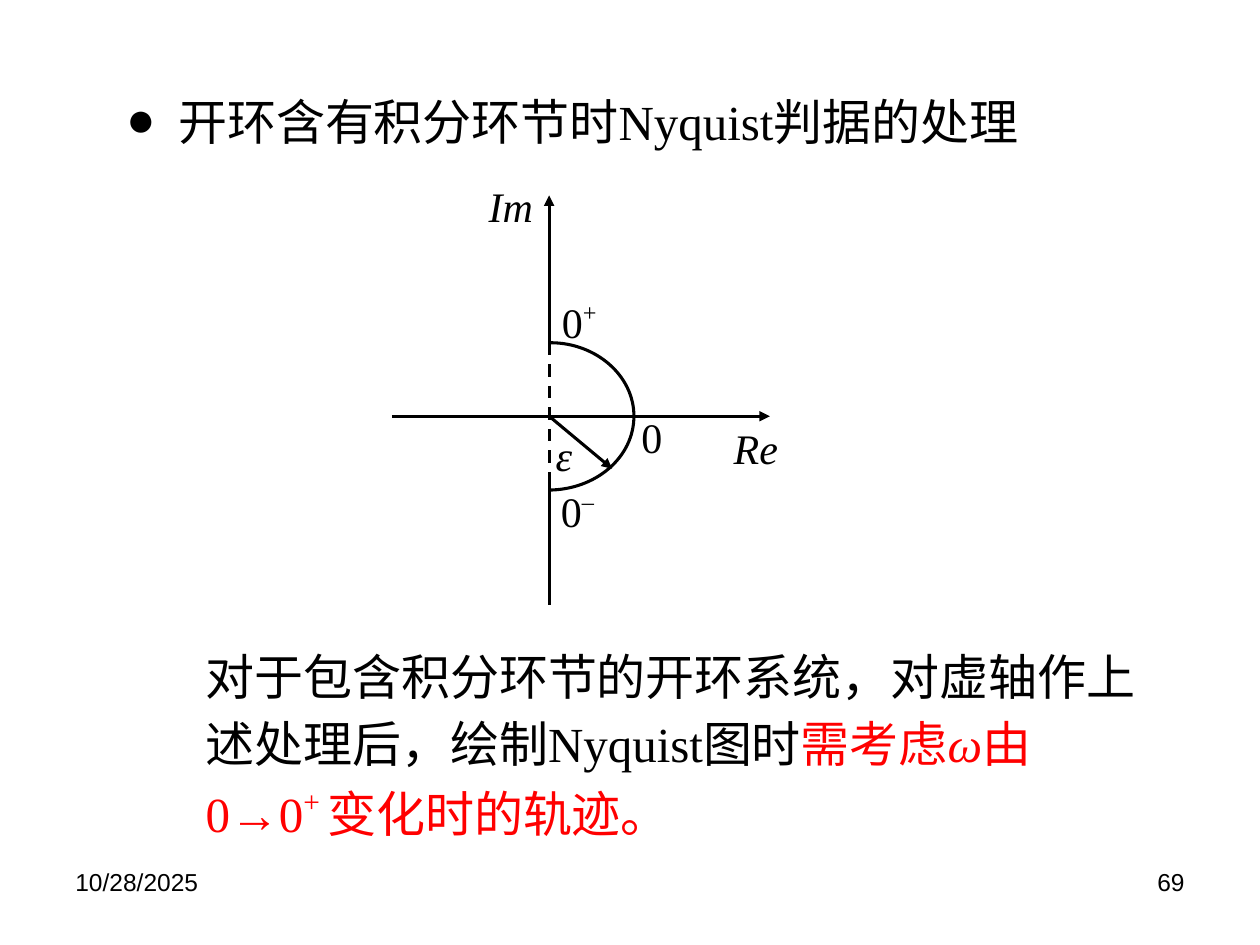
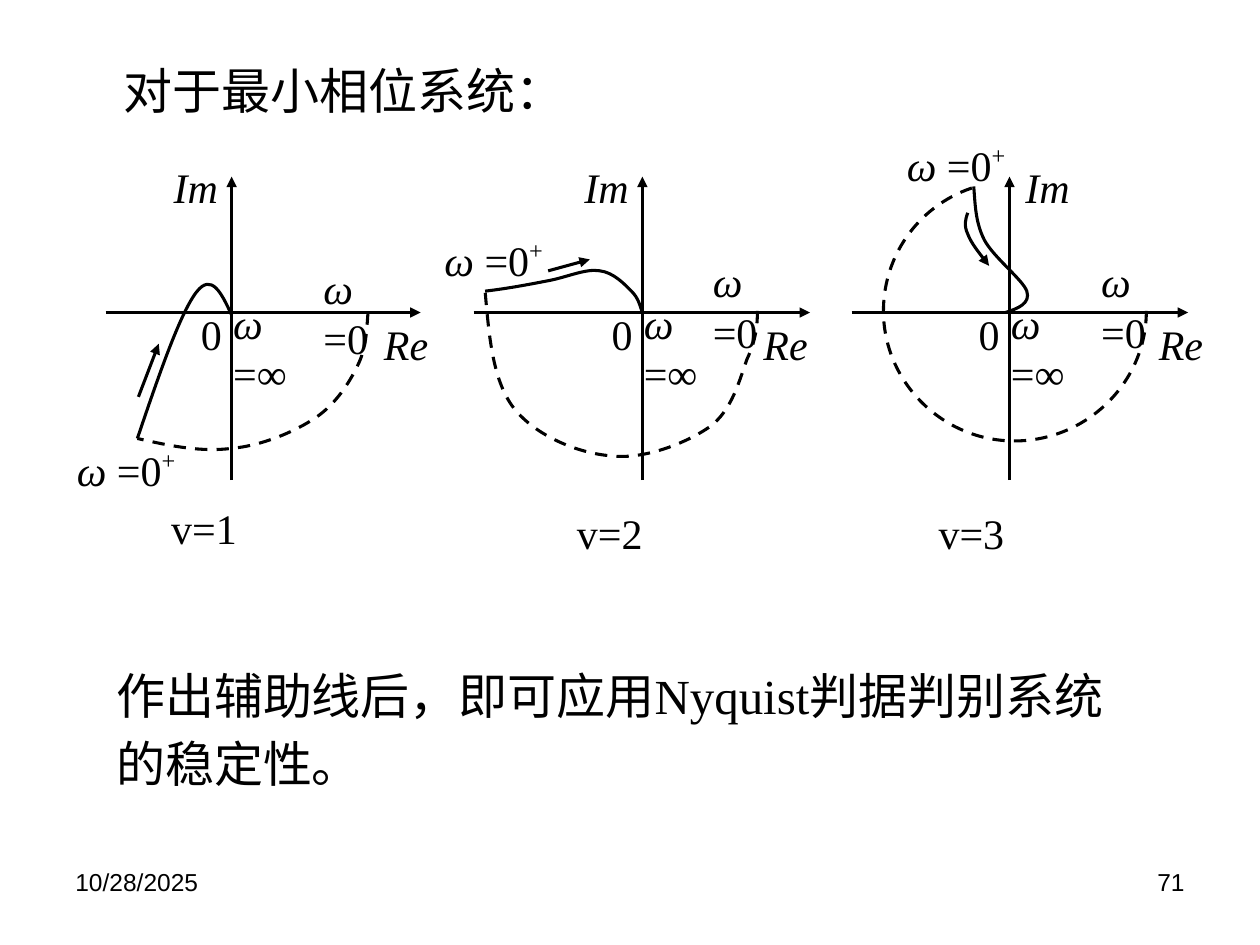
from dataclasses import dataclass

import pptx
import pptx.dml.color
import pptx.enum.dml
import pptx.enum.shapes
import pptx.enum.text
import pptx.oxml.ns
import pptx.util
from lxml import etree

Cm, Pt = pptx.util.Cm, pptx.util.Pt
qn = pptx.oxml.ns.qn
Align = pptx.enum.text.PP_ALIGN


@dataclass(frozen=True)
class Theme:
    ink: str = "000000"
    accent: str = "FF0000"
    font: str = "Times New Roman"
    footer_font: str = "Arial"
    text_size: float = 28
    power_size: float = 29
    label_size: float = 24
    footer_size: float = 14
    line_width: float = 1.75
    line_spacing: float = 1.15


@dataclass(frozen=True)
class Plot:
    """One Nyquist plot; all positions in cm, curves as cubic Bezier chains."""
    name: str
    name_at: tuple
    axis_x: float
    re_span: tuple
    im_x: float
    re_x: float
    zero_at: tuple
    start_at: tuple
    locus: list
    closing: list
    direction: list


# A label is a list of (text, marks): i = italic, ^ = superscript, ! = accent colour.
W_ZERO = [("ω", "i"), (" =0", "")]
W_START = W_ZERO + [("+", "^")]
W_INF = [("ω", "i"), (" =∞", "")]
RE, IM, ZERO = [("Re", "i")], [("Im", "i")], [("0", "")]

RE_AXIS_Y = 6.3
IM_AXIS = (9.68, 3.56)

PLOTS = [
    Plot("v=1", (3.2, 10.01), 4.67, (2.13, 8.48), 3.25, 7.49, (6.27, 5.16), (1.3, 8.84),
         locus=[(2.77, 8.84), (3.2, 7.57), (3.63, 6.32), (3.96, 5.89),
                (4.27, 5.49), (4.47, 5.92), (4.67, 6.35)],
         closing=[(7.42, 6.3), (7.39, 6.65), (7.39, 7.01), (7.21, 7.37),
                  (7.04, 7.72), (6.78, 8.13), (6.38, 8.41),
                  (5.94, 8.71), (5.26, 8.99), (4.67, 9.04),
                  (4.06, 9.12), (3.43, 8.99), (2.77, 8.84)],
         direction=[(2.79, 8), (3.2, 6.93)]),
    Plot("v=2", (11.38, 10.11), 12.95, (9.55, 16.33), 11.53, 15.14, (14.12, 5.03), (8.71, 4.6),
         locus=[(9.78, 5.87), (10.21, 5.82), (10.64, 5.74), (11.05, 5.66),
                (11.43, 5.59), (11.81, 5.41), (12.09, 5.46),
                (12.37, 5.49), (12.6, 5.74), (12.73, 5.87),
                (12.88, 6.02), (12.9, 6.17), (12.95, 6.3)],
         closing=[(15.27, 6.27), (15.27, 6.55), (15.24, 6.86), (15.06, 7.24),
                  (14.91, 7.65), (14.76, 8.28), (14.3, 8.61),
                  (13.82, 8.94), (12.98, 9.27), (12.32, 9.19),
                  (11.66, 9.14), (10.8, 8.79), (10.36, 8.23),
                  (9.93, 7.67), (9.86, 6.78), (9.78, 5.87)],
         direction=[(11.05, 5.46), (11.89, 5.23)]),
    Plot("v=3", (18.67, 10.11), 20.35, (17.17, 23.95), 20.42, 23.11, (21.95, 5.03), (18.03, 2.69),
         locus=[(19.63, 3.76), (19.66, 4.11), (19.66, 4.47), (19.84, 4.83),
                (20.02, 5.18), (20.62, 5.64), (20.7, 5.87),
                (20.78, 6.12), (20.52, 6.22), (20.27, 6.3)],
         closing=[(23.11, 6.27), (23.11, 7.7), (21.92, 8.89), (20.45, 8.89),
                  (19, 8.89), (17.81, 7.7), (17.81, 6.27),
                  (17.81, 5.11), (18.57, 4.09), (19.69, 3.76)],
         direction=[(19.51, 4.29), (19.46, 4.42), (19.43, 4.55), (19.51, 4.72),
                    (19.58, 4.9), (19.86, 5.26), (19.94, 5.36)]),
]


def bend(sp):
    """Turn every three line segments of a freeform into one cubic segment."""
    segments = list(sp._element.iter(qn("a:lnTo")))
    for n in range(0, len(segments), 3):
        cubic = etree.Element(qn("a:cubicBezTo"))
        segments[n].addprevious(cubic)
        for segment in segments[n:n + 3]:
            cubic.append(segment[0])
            segment.getparent().remove(segment)


class Deck:
    def __init__(self, prs, theme):
        self.prs, self.theme, self.slide = prs, theme, None

    def new_slide(self, number):
        self.slide = self.prs.slides.add_slide(self.prs.slide_layouts[1])
        self.footer(1.27, "10/28/2025", Align.LEFT)
        self.footer(18.21, number, Align.RIGHT)

    def style(self, r, size, marks="", font=None):
        f = r.font
        f.name, f.size = font or self.theme.font, Pt(size)
        f.italic = "i" in marks
        color = self.theme.accent if "!" in marks else self.theme.ink
        f.color.rgb = pptx.dml.color.RGBColor.from_string(color)
        if "^" in marks:
            r._r.get_or_add_rPr().set("baseline", "40000")

    def fill_text(self, p, runs, size, power_size=None):
        for text, marks in runs:
            r = p.add_run()
            r.text = text
            self.style(r, power_size if power_size and "^" in marks else size, marks)

    def footer(self, x, text, align):
        sp = self.slide.shapes.add_textbox(Cm(x), Cm(17.35), Cm(5.92), Cm(1.32))
        sp.text_frame.word_wrap = True
        p = sp.text_frame.paragraphs[0]
        p.text, p.alignment = text, align
        self.style(p.runs[0], self.theme.footer_size, font=self.theme.footer_font)

    def placeholder(self, sp, box, runs, bullet=None, spacing=1.0):
        sp.left, sp.top, sp.width, sp.height = map(Cm, box)
        tf = sp.text_frame
        tf.word_wrap = True
        tf.auto_size = pptx.enum.text.MSO_AUTO_SIZE.NONE
        tf.vertical_anchor = pptx.enum.text.MSO_ANCHOR.TOP
        p = tf.paragraphs[0]
        p.alignment, p.line_spacing, p.space_before = Align.LEFT, spacing, Pt(0)
        indent = Cm(1.05) if bullet else 0
        pPr = p._p.get_or_add_pPr()
        pPr.set("marL", str(indent))
        pPr.set("indent", str(-indent))
        if bullet:
            etree.SubElement(pPr, qn("a:buFont")).set("typeface", self.theme.font)
            etree.SubElement(pPr, qn("a:buChar")).set("char", bullet)
        else:
            etree.SubElement(pPr, qn("a:buNone"))
        self.fill_text(p, runs, self.theme.text_size, self.theme.power_size)

    def title(self, box, text, bullet=None):
        self.placeholder(self.slide.shapes.title, box, [(text, "")], bullet)

    def body(self, box, runs):
        self.placeholder(self.slide.placeholders[1], box, runs,
                         spacing=self.theme.line_spacing)

    def label(self, x, y, runs, width, wrap=False):
        sp = self.slide.shapes.add_textbox(Cm(x), Cm(y), Cm(width), Cm(1.27))
        sp.text_frame.word_wrap = wrap
        self.fill_text(sp.text_frame.paragraphs[0], runs, self.theme.label_size)

    def stroke(self, sp, arrow, dash):
        line = sp.line
        line.width = Pt(self.theme.line_width)
        line.color.rgb = pptx.dml.color.RGBColor.from_string(self.theme.ink)
        if dash:
            line.dash_style = pptx.enum.dml.MSO_LINE.DASH
        if arrow:
            etree.SubElement(line._get_or_add_ln(), qn("a:tailEnd")).set("type", "triangle")

    def line(self, start, end, arrow=False, dash=False):
        sp = self.slide.shapes.add_connector(
            pptx.enum.shapes.MSO_CONNECTOR.STRAIGHT, *map(Cm, (*start, *end)))
        self.stroke(sp, arrow, dash)
        etree.SubElement(sp._element.spPr, qn("a:effectLst"))

    def curve(self, pts, arrow=False, dash=False):
        start, *rest = [(Cm(x), Cm(y)) for x, y in pts]
        builder = self.slide.shapes.build_freeform(*start)
        builder.add_line_segments(rest, close=False)
        sp = builder.convert_to_shape()
        bend(sp)
        sp.fill.background()
        self.stroke(sp, arrow, dash)
        sp.shadow.inherit = False

    def plot(self, plot):
        left, right = plot.re_span
        self.line((left, RE_AXIS_Y), (right, RE_AXIS_Y), arrow=True)
        self.line(*[(plot.axis_x, y) for y in IM_AXIS], arrow=True)
        self.curve(plot.locus)
        self.curve(plot.closing, dash=True)
        if len(plot.direction) == 2:
            self.line(*plot.direction, arrow=True)
        else:
            self.curve(plot.direction, arrow=True)
        self.label(*plot.zero_at, W_ZERO, 2.1, wrap=True)
        self.label(plot.axis_x - 0.22, 5.87, W_INF, 2.1, wrap=True)
        self.label(plot.axis_x - 0.87, 6.1, ZERO, 0.94)
        self.label(*plot.start_at, W_START, 2.51)
        self.label(plot.re_x, RE_AXIS_Y, RE, 1.4)
        self.label(plot.im_x, 3.13, IM, 1.4)
        self.label(*plot.name_at, [(plot.name, "")], 1.85)


def integrator_slide(deck):
    deck.new_slide("69")
    deck.title((2.29, 1.71, 19.94, 1.45), "开环含有积分环节时Nyquist判据的处理", bullet="●")
    deck.body((3.89, 12.72, 19.25, 4.34), [
        ("对于包含积分环节的开环系统，对虚轴作上述处理后，绘制Nyquist图时", ""),
        ("需考虑", "!"), ("ω", "!i"), ("由 0→0", "!"), ("+ ", "!^"),
        ("变化时的轨迹。", "!")])
    x, y = 11.07, 8.39
    deck.line((7.9, y), (15.52, y), arrow=True)
    deck.curve([(11.1, 6.91), (12.01, 6.91), (12.78, 7.57), (12.78, y),
                (12.78, 9.22), (12.01, 9.88), (11.05, 9.88)])
    deck.line((x, 9.65), (x, 12.19))
    deck.line((x, 6.91), (x, 3.94), arrow=True)
    deck.line((x, 6.91), (x, 9.88), dash=True)
    deck.line((x, y), (12.34, 9.45), arrow=True)
    deck.label(10.95, 8.53, [("ε", "i")], 0.89)
    deck.label(11.06, 9.66, ZERO + [("–", "^")], 1.22)
    deck.label(11.08, 5.85, ZERO + [("+", "^")], 1.24)
    deck.label(12.68, 8.18, ZERO, 0.94)
    deck.label(14.54, 8.39, RE, 1.4)
    deck.label(9.6, 3.52, IM, 1.4)


def minimum_phase_slide(deck):
    deck.new_slide("71")
    deck.title((2.24, 1.09, 9.5, 1.45), "对于最小相位系统：")
    for plot in PLOTS:
        deck.plot(plot)
    deck.body((2.09, 13.12, 20.52, 2.97),
              [("作出辅助线后，即可应用Nyquist判据判别系统的稳定性。", "")])


def main():
    prs = pptx.Presentation()
    prs.slide_width, prs.slide_height = Cm(25.4), Cm(19.05)
    deck = Deck(prs, Theme())
    integrator_slide(deck)
    minimum_phase_slide(deck)
    prs.save("out.pptx")


if __name__ == "__main__":
    main()
